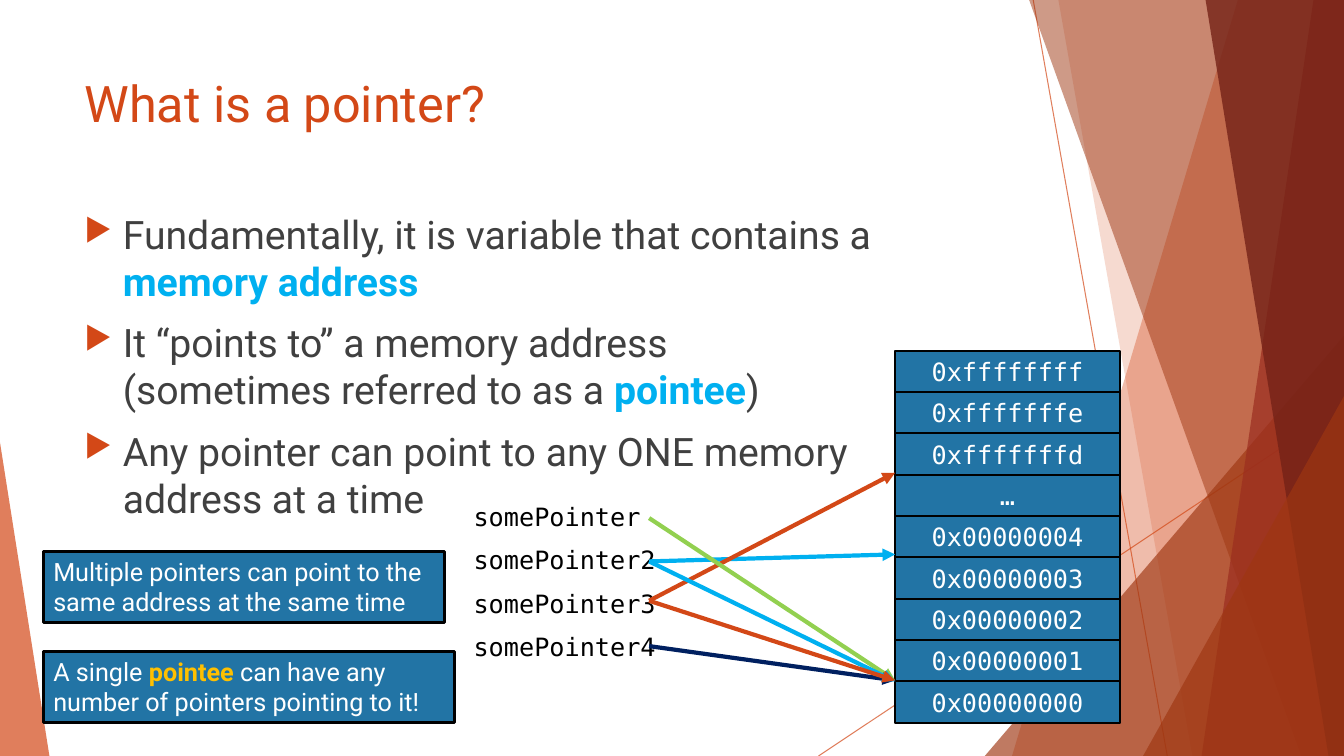
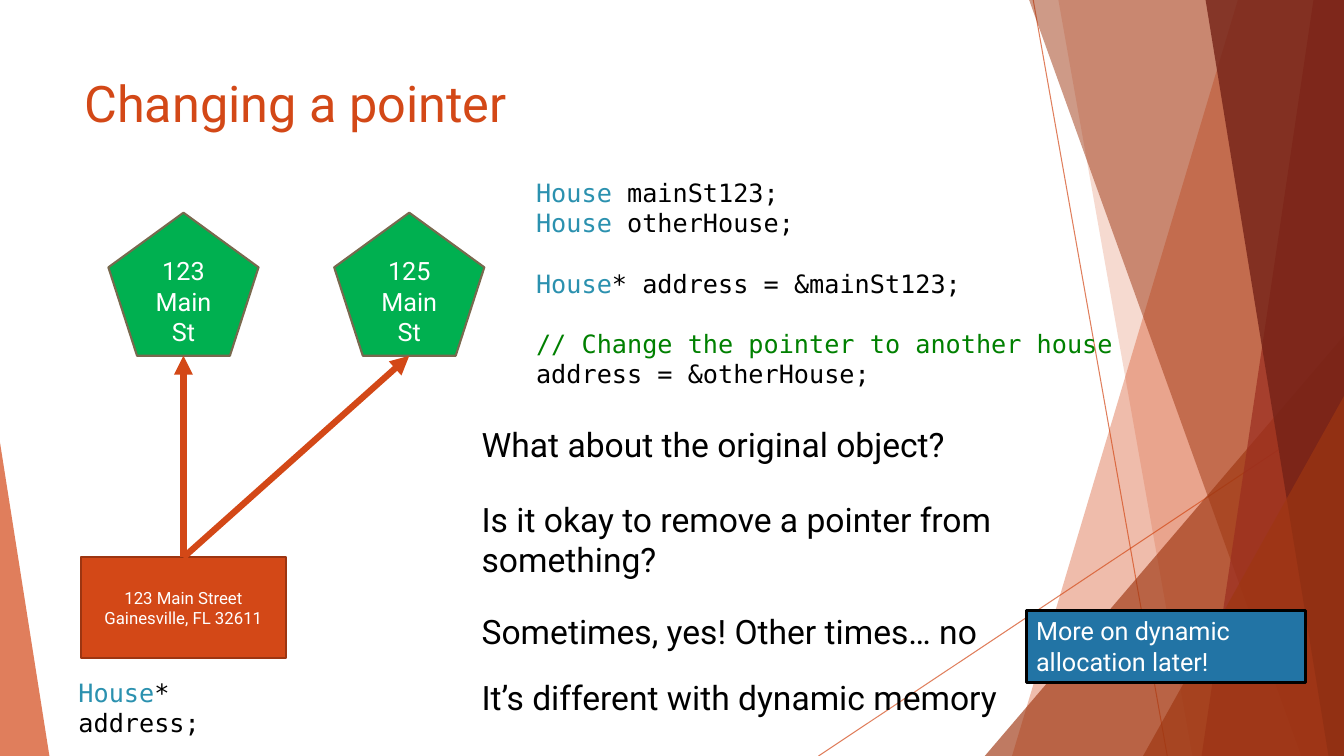
from lxml import etree
from pptx import Presentation
from pptx.dml.color import RGBColor
from pptx.enum.shapes import MSO_CONNECTOR, MSO_SHAPE
from pptx.enum.text import MSO_ANCHOR, PP_ALIGN
from pptx.oxml.ns import qn
from pptx.util import Inches, Pt

# Grid: square cells, a tenth of an inch wide
COLUMNS, ROWS = 133.33, 75

# Colours
ORANGE = RGBColor(0xD3, 0x48, 0x17)
RUST = RGBColor(0x9E, 0x36, 0x11)
RUST_LINE = RGBColor(0x9C, 0x35, 0x11)
BRICK = RGBColor(0x9B, 0x2D, 0x1F)
MAROON = RGBColor(0x74, 0x22, 0x17)
GREY = RGBColor(0x40, 0x40, 0x40)
BLACK = RGBColor(0, 0, 0)
WHITE = RGBColor(0xFF, 0xFF, 0xFF)
STEEL = RGBColor(0x22, 0x74, 0xA5)
SKY = RGBColor(0x00, 0xB0, 0xF0)
LIME = RGBColor(0x92, 0xD0, 0x50)
NAVY = RGBColor(0x00, 0x20, 0x60)
AMBER = RGBColor(0xFF, 0xC0, 0x00)
GREEN = RGBColor(0x00, 0xB0, 0x50)
TAUPE = RGBColor(0x78, 0x69, 0x4E)
CODE_TYPE = RGBColor(0x2B, 0x91, 0xAF)
CODE_COMMENT = RGBColor(0x00, 0x80, 0x00)

# Fonts and enum members
SANS, MONO = "Roboto", "DejaVu Sans Mono"
LEFT, CENTER = PP_ALIGN.LEFT, PP_ALIGN.CENTER
TOP, MIDDLE = MSO_ANCHOR.TOP, MSO_ANCHOR.MIDDLE
RECTANGLE, TRIANGLE = MSO_SHAPE.RECTANGLE, MSO_SHAPE.ISOSCELES_TRIANGLE
PENTAGON, STRAIGHT = MSO_SHAPE.REGULAR_PENTAGON, MSO_CONNECTOR.STRAIGHT

# Shared backdrop: (top column, bottom column, colour, opacity)
BACK_SHARDS = [(122.8, 100.4, ORANGE, 36), (105, 118.3, ORANGE, 20)]
FRONT_SHARDS = [(102.1, 129.1, RUST, 50), (130.3, 119.2, BRICK, 70),
                (119.6, 131.8, MAROON, 80)]


def cells(*counts):
    return [Inches(count / 10) for count in counts]


def set_opacity(shape, percent):
    for colour in shape.element.iter(qn("a:srgbClr")):
        etree.SubElement(colour, qn("a:alpha"), val=str(percent * 1000))


def add_line(slide, start, end, colour, width, arrow=True):
    line = slide.shapes.add_connector(STRAIGHT, *cells(*start, *end))
    line.line.color.rgb = colour
    line.line.width = Pt(width)
    if arrow:
        outline = line.element.find(".//" + qn("a:ln"))
        etree.SubElement(outline, qn("a:tailEnd"), type="triangle")
    etree.SubElement(line.element.spPr, qn("a:effectLst"))
    return line


def paint(shape, fill, line=None, width=1.5):
    shape.shadow.inherit = False
    shape.fill.solid()
    shape.fill.fore_color.rgb = fill
    if line is None:
        shape.line.fill.background()
    else:
        shape.line.color.rgb = line
        shape.line.width = Pt(width)


def add_bullet(paragraph):
    properties = paragraph._p.get_or_add_pPr()
    properties.set("marL", str(Inches(0.38)))
    properties.set("indent", str(-Inches(0.38)))
    colour = etree.SubElement(properties, qn("a:buClr"))
    etree.SubElement(colour, qn("a:srgbClr"), val=str(ORANGE))
    etree.SubElement(properties, qn("a:buSzPct"), val="80000")
    etree.SubElement(properties, qn("a:buChar"), char="▶")


def write(shape, paragraphs, size, colour, font=SANS, align=LEFT, anchor=TOP,
          bullets=False, gaps=None):
    """Each paragraph is a list of runs: text, or (text, colour, bold).
    gaps gives the space before a paragraph by its index."""
    frame = shape.text_frame
    frame.word_wrap = True
    frame.vertical_anchor = anchor
    for index, runs in enumerate(paragraphs):
        paragraph = frame.add_paragraph() if index else frame.paragraphs[0]
        paragraph.alignment = align
        if bullets:
            add_bullet(paragraph)
        if gaps and index in gaps:
            paragraph.space_before = Pt(gaps[index])
        paragraph.font.name = font
        paragraph.font.size = Pt(size)
        paragraph.font.color.rgb = colour
        for part in runs:
            run = paragraph.add_run()
            if isinstance(part, str):
                run.text = part
            else:
                run.text, run.font.color.rgb, bold = part
                if bold:
                    run.font.bold = True


def add_text(slide, box, paragraphs, size, colour=BLACK, **style):
    write(slide.shapes.add_textbox(*cells(*box)), paragraphs, size, colour, **style)


def add_box(slide, kind, box, fill, line, paragraphs, size=18, width=1.5,
            align=CENTER, anchor=MIDDLE, font=SANS):
    shape = slide.shapes.add_shape(kind, *cells(*box))
    paint(shape, fill, line, width)
    write(shape, paragraphs, size, WHITE, font, align, anchor)
    return shape


def add_callout(slide, left, top, width, runs):
    add_box(slide, RECTANGLE, (left, top, width, 7.1), STEEL, BLACK, [runs],
            width=2.25, align=LEFT, anchor=TOP)


# Backdrop and title
def add_shard(slide, top, bottom, colour, opacity):
    corners = [cells(*corner) for corner in
               [(top, 0), (COLUMNS, 0), (COLUMNS, ROWS), (bottom, ROWS)]]
    builder = slide.shapes.build_freeform(*corners[0])
    builder.add_line_segments(corners[1:])
    shard = builder.convert_to_shape()
    paint(shard, colour)
    set_opacity(shard, opacity)


def add_corner(slide, left, top, width, tip, colour, opacity):
    corner = slide.shapes.add_shape(TRIANGLE, *cells(left, top, width, ROWS - top))
    corner.adjustments[0] = tip
    paint(corner, colour)
    set_opacity(corner, opacity)


def add_slide(presentation, title):
    slide = presentation.slides.add_slide(presentation.slide_layouts[6])
    for start, end in [((102.5, 0), (115.8, ROWS)), ((COLUMNS, 40.3), (81.2, ROWS))]:
        set_opacity(add_line(slide, start, end, ORANGE, 0.75, arrow=False), 70)
    for shard in BACK_SHARDS:
        add_shard(slide, *shard)
    add_corner(slide, 97.7, 33.3, COLUMNS - 97.7, 1, RUST, 66)
    for shard in FRONT_SHARDS:
        add_shard(slide, *shard)
    add_corner(slide, 113.4, 39.3, COLUMNS - 113.4, 1, RUST, 66)
    add_corner(slide, 0, 43.9, 4.9, 0, ORANGE, 70)
    add_text(slide, (7.4, 6.7, 94, 9.6), [[title]], 36, ORANGE)
    return slide


def build_what_is_a_pointer(presentation):
    slide = add_slide(presentation, "What is a pointer?")
    add_text(slide, (7.4, 20.4, 81.4, 42.4), [
        ["Fundamentally, it is variable that contains a ",
         ("memory address", SKY, True)],
        ["It “points to” a memory address (sometimes referred to as a ",
         ("pointee", SKY, True), ")"],
        ["Any pointer can point to any ONE memory address at a time"],
    ], 28, GREY, bullets=True, gaps={1: 10, 2: 10})

    # Memory column
    memory_left, memory_top, cell_height = 88.8, 34.8, 4.1
    addresses = ["0xffffffff", "0xfffffffe", "0xfffffffd", "…", "0x00000004",
                 "0x00000003", "0x00000002", "0x00000001", "0x00000000"]
    for row, address in enumerate(addresses):
        add_box(slide, RECTANGLE,
                (memory_left, memory_top + row * cell_height, 22.3, cell_height),
                STEEL, BLACK, [[address]], font=MONO)

    # Pointer names and the addresses they point to
    names = ["somePointer", "somePointer2", "somePointer3", "somePointer4"]
    for row, name in enumerate(names):
        add_text(slide, (46, 49.2 + row * 4.33, 27.4, 4), [[name]], 18, font=MONO)
    for start, end, colour in [(55.7, 55, SKY), (59.6, 46.9, ORANGE),
                               (51.4, 67.5, LIME), (64.1, 67.5, NAVY),
                               (55.7, 67.6, SKY), (59.6, 67.5, ORANGE)]:
        add_line(slide, (64.4, start), (memory_left, end), colour, 3)

    add_callout(slide, 4.3, 54.7, 39.8,
                ["Multiple pointers can point to the same address at the same time"])
    add_callout(slide, 4.3, 64.6, 40.8,
                ["A single ", ("pointee", AMBER, True),
                 " can have any number of pointers pointing to it!"])


def build_changing_a_pointer(presentation):
    slide = add_slide(presentation, "Changing a pointer")

    # Address card and the houses it points to
    card = add_box(slide, RECTANGLE, (8, 55.3, 20.4, 10), ORANGE, RUST_LINE,
                   [["123 Main Street"], ["Gainesville, FL 32611"]], size=12)
    house_top, house_width, house_height = 21.1, 14.9, 14.2
    for left, name in [(10.75, "123 Main St"), (33.15, "125 Main St")]:
        add_box(slide, PENTAGON, (left, house_top, house_width, house_height),
                GREEN, TAUPE, [[name]])
        house_foot = (left + house_width / 2, house_top + house_height)
        arrow = add_line(slide, (18.2, 55.3), house_foot, ORANGE, 4.5)
        arrow.begin_connect(card, 0)

    # Code
    add_text(slide, (52.2, 17.1, 66.7, 22.2), [
        [("House ", CODE_TYPE, False), "mainSt123;"],
        [("House ", CODE_TYPE, False), "otherHouse;"],
        [("House", CODE_TYPE, False), "* address = &mainSt123;"],
        [("// Change the pointer to another house", CODE_COMMENT, False)],
        ["address = &otherHouse;"],
    ], 18, font=MONO, gaps={2: 21.5, 3: 21.5})
    add_text(slide, (6.8, 66.7, 24.3, 4),
             [[("House", CODE_TYPE, False), "* address;"]], 18, font=MONO)

    # Questions and answers
    for top, height, line in [
            (41.6, 5, "What about the original object?"),
            (49, 9.1, "Is it okay to remove a pointer from something?"),
            (60.1, 5, "Sometimes, yes! Other times… no"),
            (66.7, 5, "It’s different with dynamic memory")]:
        add_text(slide, (46.8, top, 58, height), [[line]], 24)
    add_callout(slide, 101.8, 60.6, 27.7, ["More on dynamic allocation later!"])


def main():
    presentation = Presentation()
    presentation.slide_width, presentation.slide_height = cells(COLUMNS, ROWS)
    build_what_is_a_pointer(presentation)
    build_changing_a_pointer(presentation)
    presentation.save("out.pptx")


if __name__ == "__main__":
    main()
